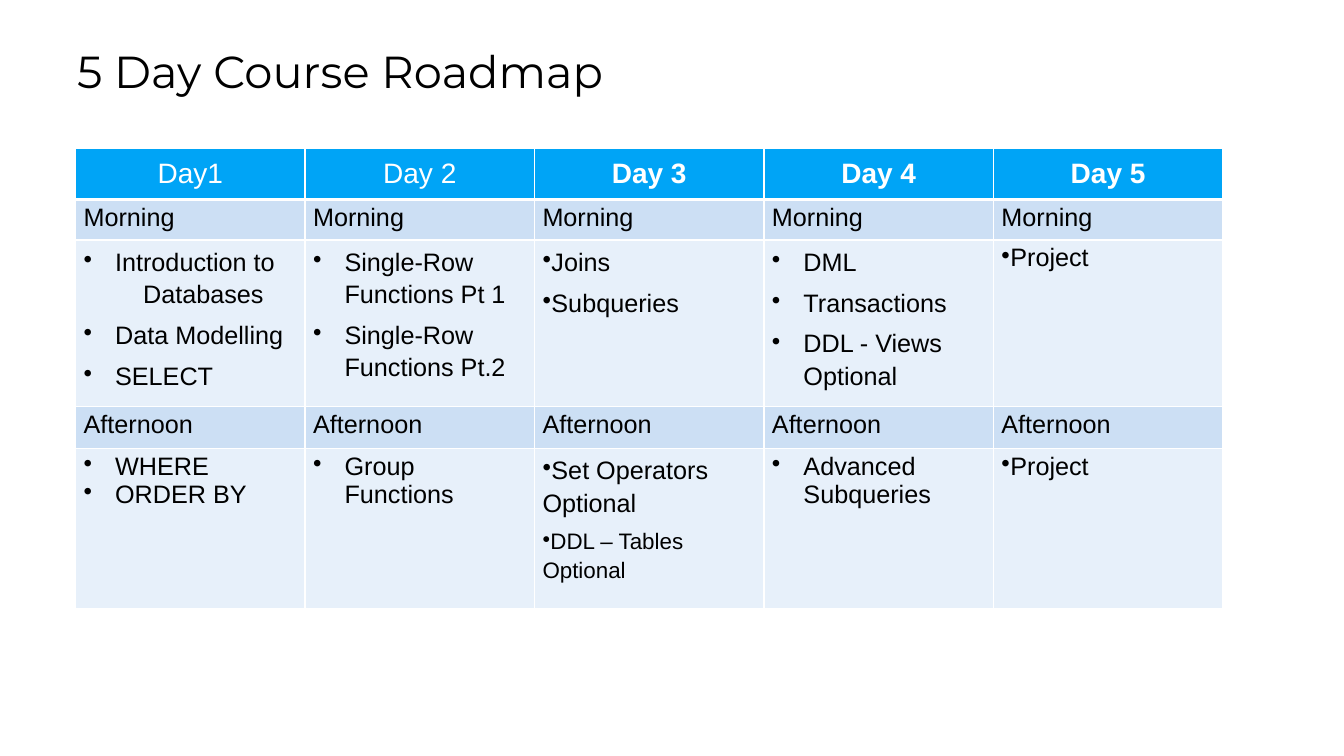
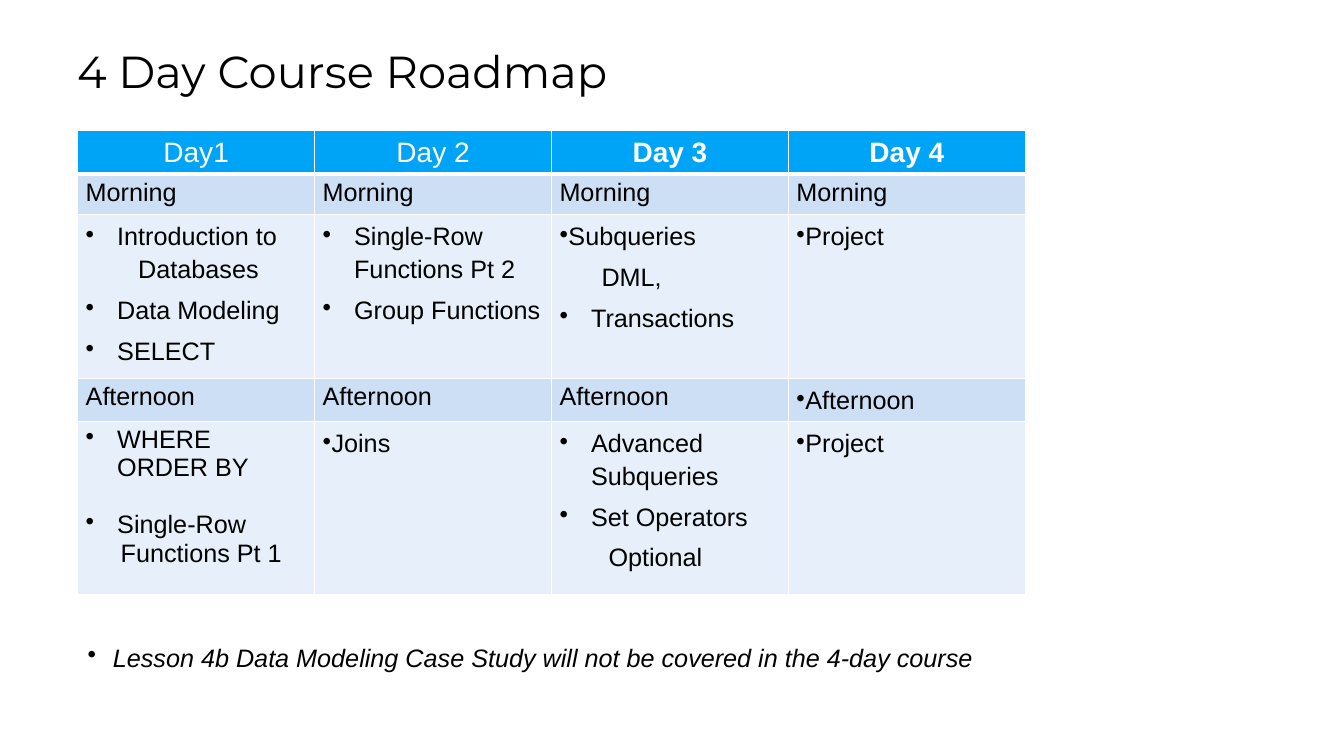
"""Build the two course roadmap slides."""
import dataclasses
import lxml.etree
import pptx
import pptx.dml.color
import pptx.enum.text
import pptx.oxml.ns
import pptx.util

Pt = pptx.util.Pt
qn = pptx.oxml.ns.qn


@dataclasses.dataclass(frozen=True)
class Theme:
    white: str = "FFFFFF"
    ink: str = "000000"
    head: str = "00A4F6"
    band: str = "CCDFF4"
    pale: str = "E7F0FA"
    face: str = "Arial"
    brand: str = "Montserrat"
    title: int = 32
    day: int = 20
    body: int = 18
    small: int = 16


@dataclasses.dataclass(frozen=True)
class Style:
    left: float = 0
    hang: float = 0
    line: float = 1
    after: float = 0
    mark: bool = False
    size: int = Theme.body
    face: str = Theme.face
    ink: str = Theme.ink
    bold: bool = False
    slant: bool = False
    mid: bool = False


look = Theme()
alter = dataclasses.replace
plain = Style()
title = Style(size=look.title, face=look.brand)
day = Style(size=look.day, ink=look.white, mid=True)
close = Style(mark=True)
tight = Style(left=22.5, hang=22.5, mark=True)
gap = alter(tight, after=20.5)
loose = alter(tight, line=1.15, after=6)
lead = alter(loose, after=0)
flush = Style(line=1.15, after=6, mark=True)
small = alter(flush, size=look.small)
more = alter(flush, mark=False)
note = Style(left=18, hang=18, after=6, mark=True, slant=True)


def write(frame, items):
    frame.word_wrap = True
    for i, (text, style) in enumerate(items):
        para = frame.paragraphs[0] if i == 0 else frame.add_paragraph()
        para.alignment = (pptx.enum.text.PP_ALIGN.CENTER if style.mid
                          else pptx.enum.text.PP_ALIGN.LEFT)
        para.line_spacing = style.line
        para.space_after = Pt(style.after)
        props = para._p.get_or_add_pPr()
        props.set("marL", str(Pt(style.left)))
        props.set("indent", str(Pt(-style.hang)))
        if style.mark:
            lxml.etree.SubElement(props, qn("a:buChar")).set("char", "•")
        run = para.add_run()
        run.text = text
        font = run.font
        font.name, font.size = style.face, Pt(style.size)
        font.bold, font.italic = style.bold, style.slant
        font.color.rgb = pptx.dml.color.RGBColor.from_string(style.ink)


def edge(cell, row):
    props = cell._tc.get_or_add_tcPr()
    for side in "LRTB":
        thick = (row, side) in ((0, "B"), (1, "T"))
        line = lxml.etree.SubElement(props, qn("a:ln" + side))
        line.set("w", str(Pt(3 if thick else 1)))
        fill = lxml.etree.SubElement(line, qn("a:solidFill"))
        lxml.etree.SubElement(fill, qn("a:srgbClr")).set("val", look.white)


plans = [
    dict(
        name="5 Day Course Roadmap", left=54, top=106, wide=819.5,
        rows=[36.5, 29, 119, 30, 114.5], late=[plain] * 5,
        early=[
            [("Introduction to", lead), ("Databases", alter(more, left=42.5)),
             ("Data Modelling", loose), ("SELECT", loose)],
            [("Single-Row Functions Pt 1", loose),
             ("Single-Row Functions Pt.2", loose)],
            [("Joins", flush), ("Subqueries", flush)],
            [("DML", loose), ("Transactions", loose),
             ("DDL - Views Optional", loose)],
            [("Project", close)],
        ],
        after=[
            [("WHERE", tight), ("ORDER BY", tight)],
            [("Group Functions", tight)],
            [("Set Operators Optional", flush),
             ("DDL – Tables Optional", small)],
            [("Advanced Subqueries", tight)],
            [("Project", close)],
        ],
        foot=None),
    dict(
        name="4 Day Course Roadmap", left=55.5, top=93.5, wide=677,
        rows=[31, 29, 116.5, 28.5, 123.5], late=[plain] * 3 + [flush],
        early=[
            [("Introduction to", lead), ("Databases", alter(more, left=37.5)),
             ("Data Modeling", loose), ("SELECT", loose)],
            [("Single-Row Functions Pt 2", loose), ("Group Functions", loose)],
            [("Subqueries", flush), ("DML,", alter(more, left=30)),
             ("Transactions", loose)],
            [("Project", flush)],
        ],
        after=[
            [("WHERE ORDER BY", gap), ("Single-Row", tight),
             ("Functions Pt 1", alter(plain, left=25))],
            [("Joins", flush)],
            [("Advanced Subqueries", loose), ("Set Operators", loose),
             ("Optional", alter(more, left=35))],
            [("Project", flush)],
        ],
        foot="Lesson 4b Data Modeling Case Study will not be covered "
             "in the 4-day course"),
]

deck = pptx.Presentation()
deck.slide_width, deck.slide_height = Pt(960), Pt(540)
fills = [look.head, look.band, look.pale, look.band, look.pale]

for plan in plans:
    slide = deck.slides.add_slide(deck.slide_layouts[6])
    box = slide.shapes.add_textbox(Pt(48), Pt(28), Pt(866), Pt(46))
    write(box.text_frame, [(plan["name"], title)])

    count = len(plan["early"])
    names = ["Day1"] + [f"Day {n}" for n in range(2, count + 1)]
    grid = [
        [[(name, alter(day, bold=i > 1))] for i, name in enumerate(names)],
        [[("Morning", plain)]] * count,
        plan["early"],
        [[("Afternoon", style)] for style in plan["late"]],
        plan["after"],
    ]
    table = slide.shapes.add_table(
        len(grid), count, Pt(plan["left"]), Pt(plan["top"]),
        Pt(plan["wide"]), Pt(sum(plan["rows"]))).table
    table.horz_banding = False
    for col in table.columns:
        col.width = Pt(plan["wide"] / count)
    for r, cells in enumerate(grid):
        table.rows[r].height = Pt(plan["rows"][r])
        for c, items in enumerate(cells):
            cell = table.cell(r, c)
            cell.margin_left = cell.margin_right = Pt(5.75)
            cell.margin_top = cell.margin_bottom = Pt(2.9)
            cell.vertical_anchor = (
                pptx.enum.text.MSO_ANCHOR.MIDDLE if r == 0
                else pptx.enum.text.MSO_ANCHOR.TOP)
            edge(cell, r)
            cell.fill.solid()
            cell.fill.fore_color.rgb = (
                pptx.dml.color.RGBColor.from_string(fills[r]))
            write(cell.text_frame, items)

    if plan["foot"]:
        box = slide.shapes.add_textbox(Pt(55.5), Pt(455), Pt(815), Pt(29))
        write(box.text_frame, [(plan["foot"], note)])

deck.save("out.pptx")
